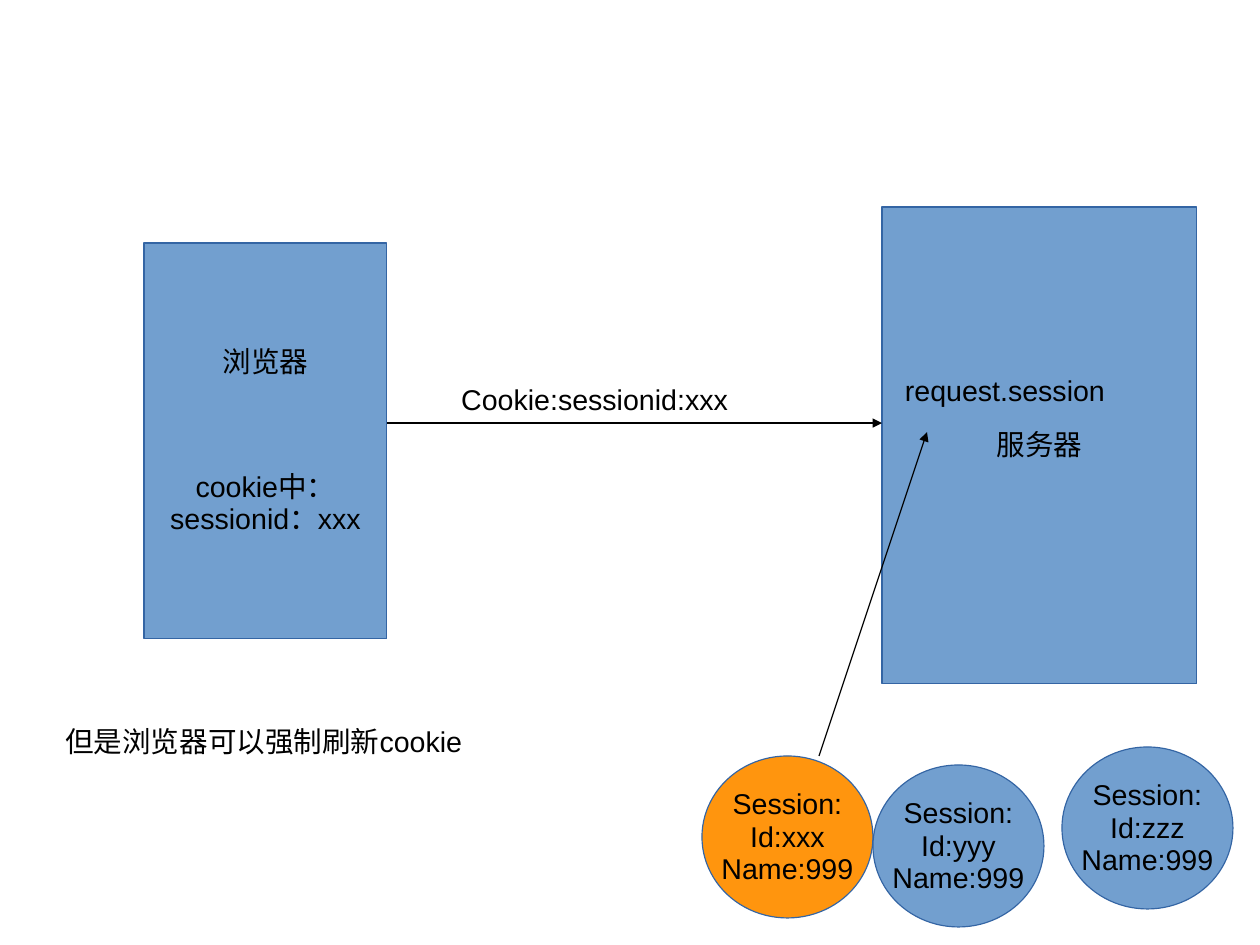
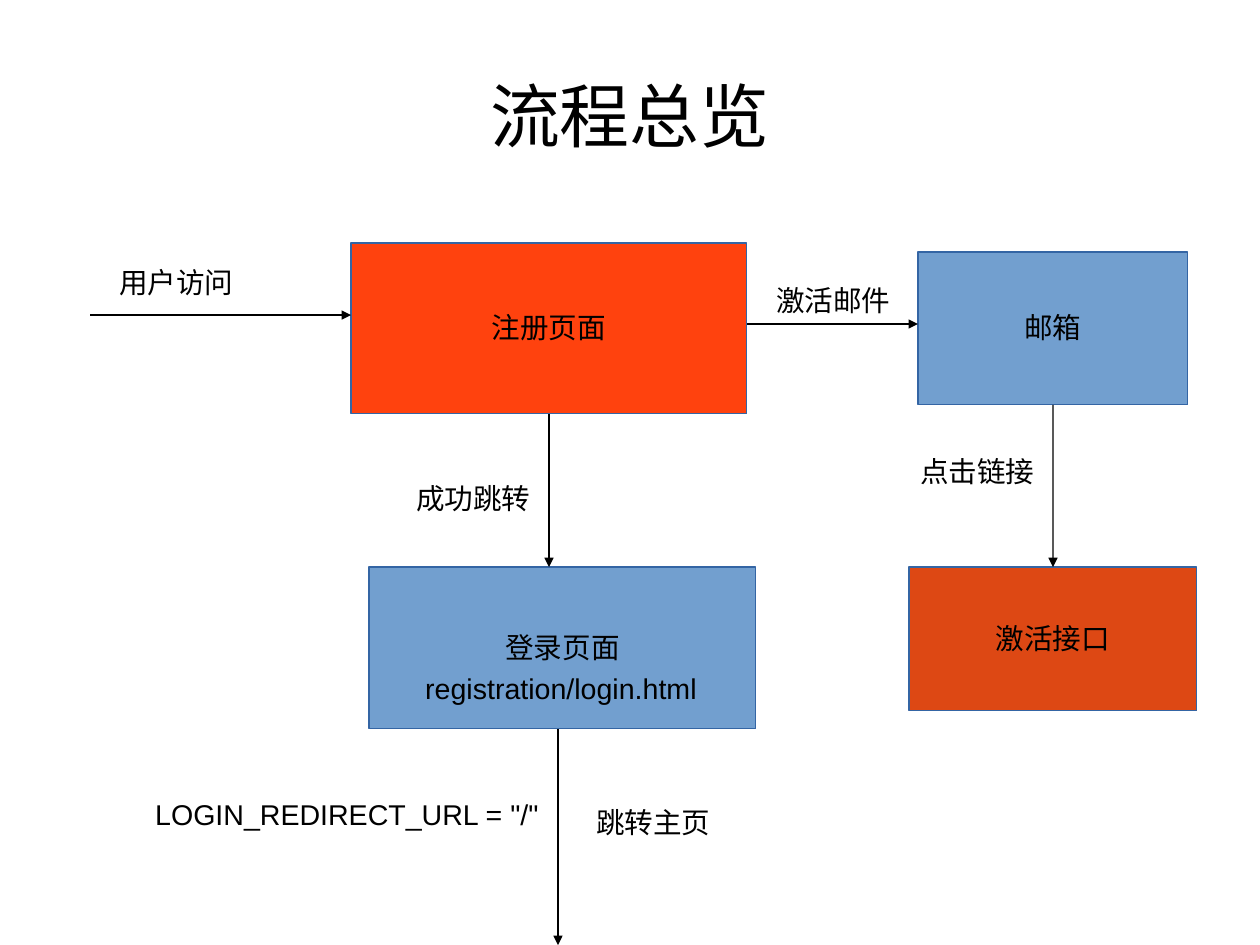
from dataclasses import dataclass

from pptx import Presentation
from pptx.dml.color import RGBColor
from pptx.enum.shapes import MSO_CONNECTOR, MSO_SHAPE
from pptx.enum.text import MSO_ANCHOR, MSO_AUTO_SIZE, PP_ALIGN
from pptx.oxml.ns import qn
from pptx.util import Cm, Pt
from lxml import etree

RECTANGLE = MSO_SHAPE.RECTANGLE
OVAL = MSO_SHAPE.OVAL
STRAIGHT = MSO_CONNECTOR.STRAIGHT
TOP = MSO_ANCHOR.TOP
MIDDLE = MSO_ANCHOR.MIDDLE
LEFT = PP_ALIGN.LEFT
CENTER = PP_ALIGN.CENTER
NO_AUTOFIT = MSO_AUTO_SIZE.NONE
BOTTOM_SITE, TOP_SITE = 2, 0
TITLE_ONLY_LAYOUT, BLANK_LAYOUT = 5, 6


@dataclass(frozen=True)
class Theme:
    font: str = "Arial"
    text_size: float = 18
    title_size: float = 44
    line_spacing: float = 0.94
    line_width: float = 0.75
    ink: str = "000000"
    outline: str = "3465A4"
    blue: str = "729FCF"
    orange: str = "FF950E"
    red: str = "FF420E"
    rust: str = "DD4814"


THEME = Theme()


@dataclass(frozen=True)
class Box:
    left: float
    top: float
    width: float
    height: float

    def inner(self, left, top, width, height):
        return Box(self.left + left, self.top + top, width, height)

    def point(self, x, y):
        return self.left + x, self.top + y

    def lengths(self):
        return [Cm(round(value, 2)) for value in
                (self.left, self.top, self.width, self.height)]


def colour(code):
    return RGBColor.from_string(code)


def write_text(shape, text, size=THEME.text_size, align=LEFT, anchor=TOP,
               wrap=False, margins=(0.25, 0.15, 0.25, 0.13), gaps=None):
    frame = shape.text_frame
    frame.auto_size = NO_AUTOFIT
    frame.word_wrap = wrap
    frame.vertical_anchor = anchor
    (frame.margin_left, frame.margin_top,
     frame.margin_right, frame.margin_bottom) = [Cm(margin) for margin in margins]
    for index, line in enumerate(text.split("\n")):
        paragraph = frame.paragraphs[0] if index == 0 else frame.add_paragraph()
        paragraph.alignment = align
        paragraph.line_spacing = THEME.line_spacing
        paragraph.space_before = Pt((gaps or {}).get(index, 0))
        run = paragraph.add_run()
        run.text = line
        run.font.name = THEME.font
        run.font.size = Pt(size)
        run.font.color.rgb = colour(THEME.ink)


def add_node(slide, box, text, fill=THEME.blue, kind=RECTANGLE, gaps=None):
    shape = slide.shapes.add_shape(kind, *box.lengths())
    shape.shadow.inherit = False
    shape.fill.solid()
    shape.fill.fore_color.rgb = colour(fill)
    shape.line.color.rgb = colour(THEME.outline)
    shape.line.width = Pt(THEME.line_width)
    write_text(shape, text, align=CENTER, anchor=MIDDLE, gaps=gaps)
    return shape


def add_label(slide, box, text):
    write_text(slide.shapes.add_textbox(*box.lengths()), text)


def add_arrow(slide, start, end, source=None, target=None):
    ends = [Cm(round(value, 2)) for value in (*start, *end)]
    connector = slide.shapes.add_connector(STRAIGHT, *ends)
    if source is not None:
        connector.begin_connect(source, BOTTOM_SITE)
    if target is not None:
        connector.end_connect(target, TOP_SITE)
    connector.line.color.rgb = colour(THEME.ink)
    connector.line.width = Pt(THEME.line_width)
    line = connector.line._get_or_add_ln()
    etree.SubElement(line, qn("a:tailEnd"), type="triangle")
    etree.SubElement(connector._element.spPr, qn("a:effectLst"))


def set_title(slide, box, text):
    title = slide.shapes.title
    title.left, title.top, title.width, title.height = box.lengths()
    write_text(title, text, size=THEME.title_size, align=CENTER, anchor=MIDDLE,
               wrap=True, margins=(0, 0.1, 0, 0))


def draw_cookie_exchange(slide, box):
    add_node(slide, box.inner(0, 0.8, 5.4, 8.8),
             "浏览器\ncookie中：\nsessionid：xxx", gaps={1: 58})
    add_node(slide, box.inner(16.4, 0, 7, 10.6), "服务器")
    add_arrow(slide, box.point(5.4, 4.8), box.point(16.4, 4.8))
    add_label(slide, box.inner(6.8, 3.8, 6.43, 0.97), "Cookie:sessionid:xxx")
    add_label(slide, box.inner(16.66, 3.6, 4.93, 0.97), "request.session")


def draw_session_store(slide, box):
    sessions = [
        (0, 0.2, "xxx", THEME.orange),
        (3.8, 0.4, "yyy", THEME.blue),
        (8, 0, "zzz", THEME.blue),
    ]
    for left, top, identifier, fill in sessions:
        add_node(slide, box.inner(left, top, 3.8, 3.6),
                 f"Session:\nId:{identifier}\nName:999", fill, OVAL)
    add_arrow(slide, box.point(2.6, 0.2), box.point(5, -7))


def draw_registration_flow(slide, box):
    register = box.inner(5.8, 0, 8.8, 3.8)
    login = box.inner(6.2, 7.2, 8.6, 3.6)
    mailbox = box.inner(18.4, 0.2, 6, 3.4)
    activation = box.inner(18.2, 7.2, 6.4, 3.2)
    register_node = add_node(slide, register, "注册页面", THEME.red)
    add_node(slide, login, "登录页面")
    mailbox_node = add_node(slide, mailbox, "邮箱")
    activation_node = add_node(slide, activation, "激活接口", THEME.rust)

    add_arrow(slide, box.point(0, 1.6), box.point(5.8, 1.6))
    add_arrow(slide, box.point(14.6, 1.8), box.point(18.4, 1.8))
    add_arrow(slide, box.point(10.2, 3.8), box.point(10.2, 7.2),
              source=register_node)
    add_arrow(slide, box.point(21.4, 3.6), box.point(21.4, 7.2),
              source=mailbox_node, target=activation_node)
    add_arrow(slide, box.point(10.4, 10.8), box.point(10.4, box.height))

    step_labels = [
        (0.4, 0.4, "用户访问"),
        (7, 5.2, "成功跳转"),
        (15, 0.8, "激活邮件"),
        (18.2, 4.6, "点击链接"),
        (11, 12.4, "跳转主页"),
    ]
    for left, top, text in step_labels:
        add_label(slide, box.inner(left, top, 3.05, 1.1), text)
    add_label(slide, box.inner(1.2, 12.23, 9.02, 0.97),
              'LOGIN_REDIRECT_URL = "/"')
    add_label(slide, login.inner(1, 2.23, 6.53, 0.97),
              "registration/login.html")


def add_session_slide(presentation):
    slide = presentation.slides.add_slide(presentation.slide_layouts[BLANK_LAYOUT])
    draw_cookie_exchange(slide, Box(3.2, 4.6, 23.4, 10.6))
    draw_session_store(slide, Box(15.6, 16.6, 11.8, 4))
    add_label(slide, Box(1.2, 16, 9.47, 1.1), "但是浏览器可以强制刷新cookie")


def add_overview_slide(presentation):
    slide = presentation.slides.add_slide(
        presentation.slide_layouts[TITLE_ONLY_LAYOUT])
    set_title(slide, Box(1.4, 0.84, 25.2, 3.5), "流程总览")
    draw_registration_flow(slide, Box(2, 5.4, 24.6, 15.6))


def main():
    presentation = Presentation()
    presentation.slide_width = Cm(28)
    presentation.slide_height = Cm(21)
    add_session_slide(presentation)
    add_overview_slide(presentation)
    presentation.save("out.pptx")


if __name__ == "__main__":
    main()
